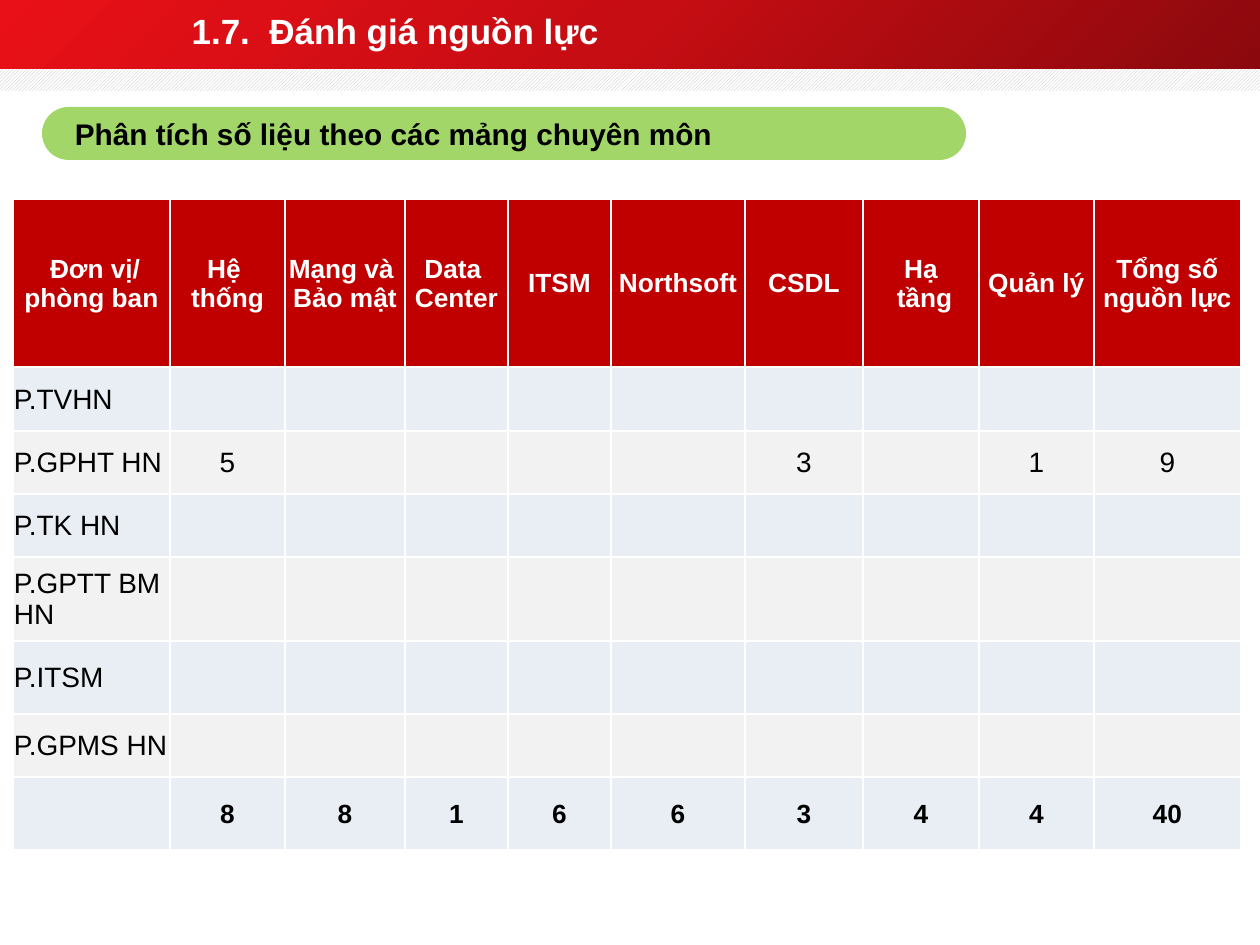
"""Build the resource assessment slide with its table by specialty."""
from copy import deepcopy
from dataclasses import dataclass

from lxml import etree
from pptx import Presentation
from pptx.dml.color import RGBColor
from pptx.enum.dml import MSO_PATTERN
from pptx.enum.shapes import MSO_SHAPE
from pptx.enum.text import MSO_ANCHOR, PP_ALIGN
from pptx.oxml.ns import qn
from pptx.util import Emu, Pt

RECTANGLE = MSO_SHAPE.RECTANGLE
ROUNDED = MSO_SHAPE.ROUNDED_RECTANGLE
HATCH = MSO_PATTERN.DARK_UPWARD_DIAGONAL
MIDDLE = MSO_ANCHOR.MIDDLE
LEFT, CENTER = PP_ALIGN.LEFT, PP_ALIGN.CENTER

TITLE_ONLY = 5
PX_PER_INCH = 126

COLUMN_WIDTHS = [157, 115, 120, 103, 103, 134, 118, 116, 115, 147]
ROW_HEIGHTS = [168, 64, 63, 63, 84, 73, 63, 73]
HEADERS = ["\u00a0Đơn vị/\nphòng ban", "Hệ \vthống", "Mạng và \vBảo mật",
           "Data \vCenter", "ITSM", "Northsoft", "CSDL", "Hạ\v tầng",
           "Quản lý", "Tổng số\vnguồn lực"]
DEPARTMENTS = {
    "P.TVHN": {},
    "P.GPHT HN": {1: "5", 6: "3", 8: "1", 9: "9"},
    "P.TK HN": {},
    "P.GPTT BM HN": {},
    "P.ITSM": {},
    "P.GPMS HN": {},
}
TOTALS = ["", "8", "8", "1", "6", "6", "3", "4", "4", "40"]


@dataclass(frozen=True)
class Theme:
    font: str = "Arial"
    white: str = "FFFFFF"
    black: str = "000000"
    header: str = "C00000"
    bands: tuple = ("F2F2F2", "E9EDF4")
    pill: str = "A2D668"
    hatch: str = "BFBFBF"
    gradient: tuple = ("8B090D", "C50D13", "EA1017")
    title_size: int = 20
    subtitle_size: int = 17
    body_size: int = 16
    strong_size: int = 15


def px(length):
    return Emu(round(length * 914400 / PX_PER_INCH))


def rgb(value):
    return RGBColor.from_string(value)


class SlideBuilder:
    def __init__(self, slide, theme):
        self.slide = slide
        self.theme = theme

    def format_text(self, text_frame, size, color, bold=True, align=LEFT):
        for paragraph in text_frame.paragraphs:
            paragraph.alignment = align
            for run in paragraph.runs:
                run.font.name = self.theme.font
                run.font.size = Pt(size)
                run.font.bold = bold
                run.font.color.rgb = rgb(color)

    def shape(self, kind, left, top, width, height):
        shape = self.slide.shapes.add_shape(
            kind, px(left), px(top), px(width), px(height))
        shape.shadow.inherit = False
        shape.line.fill.background()
        return shape

    def gradient_bar(self, left, top, width, height):
        bar = self.shape(RECTANGLE, left, top, width, height)
        bar.fill.gradient()
        bar.fill.gradient_angle = 135
        stop_list = next(bar.element.iter(qn("a:gsLst")))
        stop_list.append(deepcopy(stop_list[0]))
        for index, stop in enumerate(bar.fill.gradient_stops):
            stop.position = index / 2
            stop.color.rgb = rgb(self.theme.gradient[index])

    def hatched_band(self, left, top, width, height):
        fill = self.shape(RECTANGLE, left, top, width, height).fill
        fill.patterned()
        fill.pattern = HATCH
        fill.fore_color.rgb = rgb(self.theme.hatch)
        fill.back_color.rgb = rgb(self.theme.white)

    def title(self, text, left, top, width, height):
        title = self.slide.shapes.title
        title.left, title.top = px(left), px(top)
        title.width, title.height = px(width), px(height)
        title.text_frame.text = text
        title.text_frame.vertical_anchor = MIDDLE
        self.format_text(title.text_frame, self.theme.title_size, self.theme.white)
        title.element.getparent().append(title.element)

    def pill(self, text, left, top, width, height):
        pill = self.shape(ROUNDED, left, top, width, height)
        pill.adjustments[0] = 0.5
        pill.fill.solid()
        pill.fill.fore_color.rgb = rgb(self.theme.pill)
        frame = pill.text_frame
        frame.text = text
        frame.word_wrap = True
        frame.vertical_anchor = MIDDLE
        frame.margin_left = px(25)
        self.format_text(frame, self.theme.subtitle_size, self.theme.black)

    def cell(self, cell, text, fill, size, color, bold, align):
        cell.text = text
        cell.vertical_anchor = MIDDLE
        cell.margin_left = cell.margin_right = cell.margin_top = px(1)
        cell.margin_bottom = 0
        self.format_text(cell.text_frame, size, color, bold, align)
        properties = cell._tc.get_or_add_tcPr()
        for side in ("a:lnL", "a:lnR", "a:lnT", "a:lnB"):
            border = etree.SubElement(properties, qn(side), w=str(Pt(1)))
            solid = etree.SubElement(border, qn("a:solidFill"))
            etree.SubElement(solid, qn("a:srgbClr"), val=self.theme.white)
        cell.fill.solid()
        cell.fill.fore_color.rgb = rgb(fill)

    def table(self, rows, left, top, widths, heights):
        theme = self.theme
        frame = self.slide.shapes.add_table(
            len(rows), len(widths), px(left), px(top), px(sum(widths)), px(sum(heights)))
        table = frame.table
        table.horz_banding = False
        for column, width in zip(table.columns, widths):
            column.width = px(width)
        for row, height in zip(table.rows, heights):
            row.height = px(height)
        last = len(rows) - 1
        for row_index, texts in enumerate(rows):
            is_header = row_index == 0
            bold = row_index in (0, last)
            fill = theme.header if is_header else theme.bands[row_index % 2]
            color = theme.white if is_header else theme.black
            size = theme.strong_size if bold else theme.body_size
            for column_index, text in enumerate(texts):
                align = CENTER if bold or column_index else LEFT
                self.cell(table.cell(row_index, column_index),
                          text, fill, size, color, bold, align)
        for line_break in frame.element.iter(qn("a:br")):
            etree.SubElement(line_break, qn("a:rPr"), sz=str(theme.strong_size * 100))


def main():
    presentation = Presentation()
    presentation.slide_width, presentation.slide_height = px(1260), px(945)
    slide = presentation.slides.add_slide(presentation.slide_layouts[TITLE_ONLY])
    builder = SlideBuilder(slide, Theme())
    builder.gradient_bar(0, 0, 1260, 69)
    builder.hatched_band(0, 69, 1260, 22)
    builder.title("1.7.  Đánh giá nguồn lực", 179, 0, 955, 60)
    department_rows = [
        [name] + [counts.get(column, "") for column in range(1, len(HEADERS))]
        for name, counts in DEPARTMENTS.items()]
    builder.table([HEADERS, *department_rows, TOTALS],
                  13, 199, COLUMN_WIDTHS, ROW_HEIGHTS)
    builder.pill("Phân tích số liệu theo các mảng chuyên môn", 42, 107, 924, 53)
    presentation.save("out.pptx")


if __name__ == "__main__":
    main()
